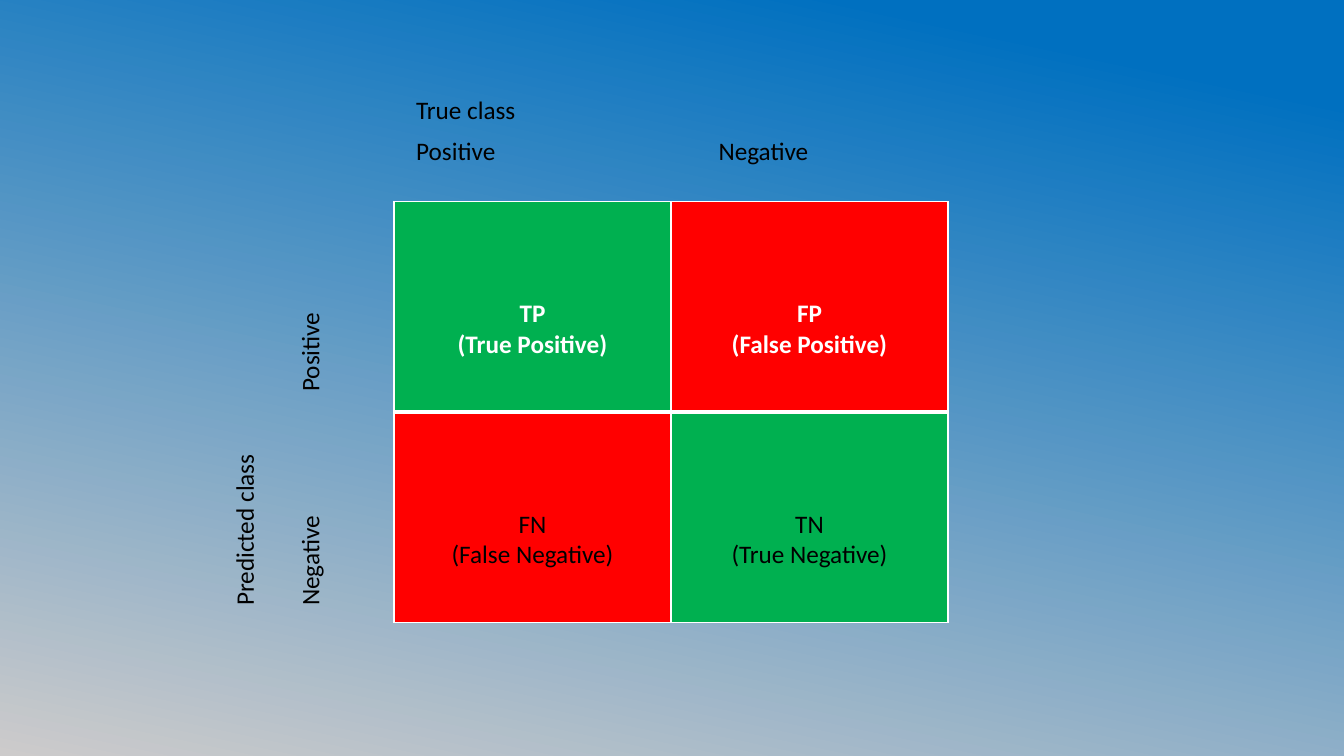
import pptx
import pptx.dml.color
import pptx.enum.text
import pptx.oxml
import pptx.oxml.ns
import pptx.util
from pptx.util import Cm

RGBColor = pptx.dml.color.RGBColor
BLUE = RGBColor(0x00, 0x70, 0xC0)
GREY = RGBColor(0xCD, 0xCB, 0xCB)
GREEN = RGBColor(0x00, 0xB0, 0x50)
RED = RGBColor(0xFF, 0x00, 0x00)
WHITE = RGBColor(0xFF, 0xFF, 0xFF)
BLACK = RGBColor(0x00, 0x00, 0x00)
CENTER = pptx.enum.text.PP_ALIGN.CENTER
NAMESPACE = pptx.oxml.ns.nsdecls("a")


def write(frame, text, font="Calibri", size=18, color=BLACK, bold=False,
          align=None, tab=None):
    """Fill a text frame, one paragraph per line of text."""
    for index, line in enumerate(text.split("\n")):
        para = frame.add_paragraph() if index else frame.paragraphs[0]
        para.alignment = align
        if tab:
            para._p.get_or_add_pPr().append(pptx.oxml.parse_xml(
                f'<a:tabLst {NAMESPACE}><a:tab pos="{int(tab)}" algn="l"/></a:tabLst>'))
        span = para.add_run()
        span.text = line
        span.font.name = font
        span.font.size = pptx.util.Pt(size)
        span.font.color.rgb = color
        span.font.bold = bold


class Painter:
    """Holds the current slide and draws its kinds of element."""

    def __init__(self, page):
        self.page = page

    def background(self, start, end, angle):
        fill = self.page.background.fill
        fill.gradient()
        fill.gradient_angle = angle
        for stop, color, position in zip(fill.gradient_stops, (start, end), (0.1, 1)):
            stop.color.rgb = color
            stop.position = position

    def label(self, text, left, top, width, height, upright=False, **style):
        box = self.page.shapes.add_textbox(Cm(left), Cm(top), Cm(width), Cm(height))
        frame = box.text_frame
        frame.word_wrap = True
        if upright:
            frame._txBody.bodyPr.set("vert", "vert270")
        write(frame, text, **style)

    def border(self, cell, widths):
        properties = cell._tc.get_or_add_tcPr()
        for index, (side, width) in enumerate(zip("LRTB", widths)):
            properties.insert(index, pptx.oxml.parse_xml(
                f'<a:ln{side} {NAMESPACE} w="{int(pptx.util.Pt(width))}"><a:solidFill>'
                f'<a:srgbClr val="{WHITE}"/></a:solidFill></a:ln{side}>'))

    def matrix(self, rows, left, top, cell_width, cell_height):
        count = len(rows)
        table = self.page.shapes.add_table(
            count, count, Cm(left), Cm(top),
            Cm(cell_width * count), Cm(cell_height * count)).table
        table.first_row = table.horz_banding = False
        for row_index, texts in enumerate(rows):
            table.rows[row_index].height = Cm(cell_height)
            heading = row_index == 0
            for column_index, text in enumerate(texts):
                table.columns[column_index].width = Cm(cell_width)
                cell = table.cell(row_index, column_index)
                cell.margin_top = Cm(2.45)
                cell.fill.solid()
                # Correct predictions lie on the diagonal
                cell.fill.fore_color.rgb = GREEN if row_index == column_index else RED
                self.border(cell, (1, 1, 1, 3) if heading else (1, 1, 3, 1))
                write(cell.text_frame, text, align=CENTER, bold=heading,
                      color=WHITE if heading else BLACK)


deck = pptx.Presentation()
deck.slide_width, deck.slide_height = Cm(33.87), Cm(19.05)
painter = Painter(deck.slides.add_slide(deck.slide_layouts[6]))
painter.background(BLUE, GREY, 258)

# Confusion matrix
painter.matrix([["TP\n(True Positive)", "FP\n(False Positive)"],
                ["FN\n(False Negative)", "TN\n(True Negative)"]],
               9.93, 5.08, 6.98, 5.3)

# Column headings
painter.label("True class", 10.24, 2.26, 13.41, 1.02)
painter.label("Positive\tNegative", 10.24, 3.28, 13.41, 1.02, tab=Cm(7.62))

# Row headings, read upwards
painter.label("Predicted class", 5.64, 7.19, 1.27, 8.33, upright=True)
painter.label("Negative\tPositive", 7.29, 5.03, 1.27, 10.49, upright=True, tab=Cm(5.4))

deck.save("out.pptx")
